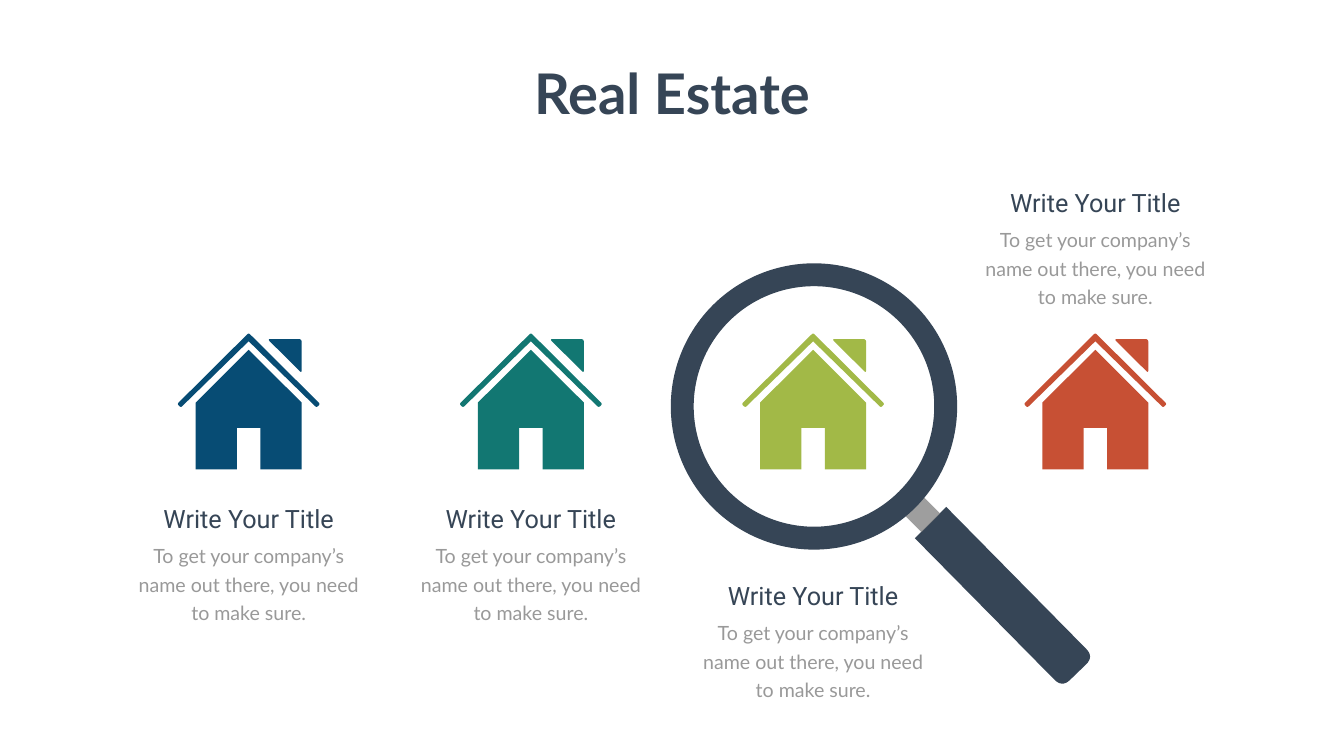
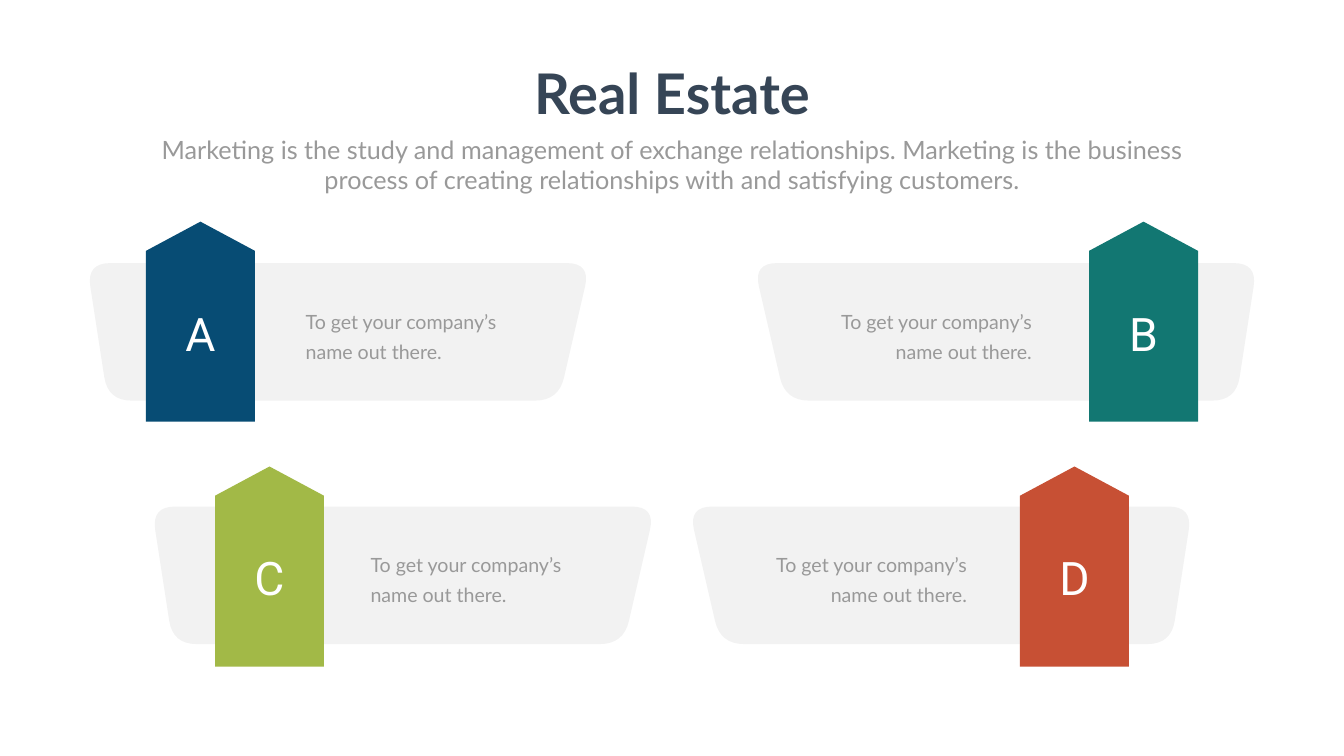
from lxml import etree
from pptx import Presentation
from pptx.dml.color import RGBColor
from pptx.enum.shapes import MSO_SHAPE
from pptx.enum.text import MSO_ANCHOR, MSO_AUTO_SIZE, PP_ALIGN
from pptx.oxml.ns import qn
from pptx.util import Cm, Pt

# Content
TITLE = "Real Estate"
SUBTITLE = (
    "Marketing is the study and management of exchange relationships. "
    "Marketing is the business process of creating relationships with "
    "and satisfying customers."
)
CAPTION_TITLE = "Write Your Title"
CAPTION_BODY = "To get your company’s name out there, you need to make sure."
PANEL_BODY = "To get your company’s name out there."

# Colours and fonts
NAVY = RGBColor(0x36, 0x45, 0x56)
GREY = RGBColor(0x99, 0x99, 0x99)
MID_GREY = RGBColor(0x80, 0x80, 0x80)
WHITE = RGBColor(0xFF, 0xFF, 0xFF)
BLUE = RGBColor(0x07, 0x4C, 0x74)
TEAL = RGBColor(0x12, 0x77, 0x72)
GREEN = RGBColor(0xA2, 0xB9, 0x47)
RED = RGBColor(0xC7, 0x50, 0x34)
LATO, ROBOTO = "Lato", "Roboto"

# All measures below are centimetres
SLIDE_W, SLIDE_H = 67.72, 38.1

# Houses: colour, top of the caption
HOUSES = [(BLUE, 25.25), (TEAL, 25.25), (GREEN, 29.13), (RED, 9.32)]
HOUSE_X, HOUSE_STEP = 12.53, 14.22

# Outlines are corners: x, y, length cut off to round the corner
HOUSE_PARTS = [
    # chimney
    [(0.95, 17.09, 0.15), (2.67, 17.09, 0.15), (2.67, 18.8, 0.15)],
    # walls
    [(-2.67, 20.29, 0), (-2.67, 23.65, 0), (-0.59, 23.65, 0), (-0.59, 21.56, 0),
     (0.59, 21.56, 0), (0.59, 23.65, 0), (2.67, 23.65, 0), (2.67, 20.29, 0),
     (0, 17.63, 0)],
    # roof
    [(0, 16.78, 0.1), (3.6, 20.36, 0.1), (3.42, 20.54, 0.1), (0, 17.2, 0),
     (-3.42, 20.54, 0.1), (-3.6, 20.36, 0.1)],
]
HANDLE = [(47.68, 25.55, 0), (55.12, 33.1, 0.55), (53.52, 34.65, 0.55),
          (46.1, 27.13, 0)]
NECK = [(45.9, 24.41, 0), (44.96, 25.35, 0), (46.43, 26.82, 0), (47.37, 25.88, 0)]
LENS = (33.8, 13.27, 14.43)  # left, top, diameter

# Panels: letter, colour, row, on the right
PANELS = [("A", BLUE, 0, False), ("B", TEAL, 0, True),
          ("C", GREEN, 1, False), ("D", RED, 1, True)]
# Rows: panel margin and top, tag centre from the slide edge and from the top
ROWS = [(4.55, 13.26, 10.1, 16.21), (7.82, 25.53, 13.58, 28.55)]
PANEL = [(-0.18, 0, 1.2), (25.2, 0, 1.2), (23.6, 6.93, 1.2), (0.89, 6.93, 1.2)]
TAG_LENGTH, TAG_WIDTH = 10.08, 5.49


def set_fill(sp, color, alpha=None):
    """Plain fill, no line, no shadow; alpha in percent."""
    sp.shadow.inherit = False
    sp.line.fill.background()
    sp.fill.solid()
    sp.fill.fore_color.rgb = color
    if alpha:
        clr = sp.fill._xPr.find(qn("a:solidFill"))[0]
        etree.SubElement(clr, qn("a:alpha")).set("val", str(alpha * 1000))


def round_corners(corners, steps=8):
    """Replace each corner that has a cut by points on a smooth curve."""
    points = []
    for i, (x, y, cut) in enumerate(corners):
        if not cut:
            points.append((x, y))
            continue
        ends = []
        for nx, ny, _ in (corners[i - 1], corners[(i + 1) % len(corners)]):
            k = cut / ((nx - x) ** 2 + (ny - y) ** 2) ** 0.5
            ends.append((x + (nx - x) * k, y + (ny - y) * k))
        (ax, ay), (bx, by) = ends
        for t in (s / steps for s in range(steps + 1)):
            a, b, c = (1 - t) ** 2, 2 * t * (1 - t), t ** 2
            points.append((a * ax + b * x + c * bx, a * ay + b * y + c * by))
    return points


def add_outline(s, corners, color, alpha=None):
    points = [(Cm(x), Cm(y)) for x, y in round_corners(corners)]
    builder = s.shapes.build_freeform(*points[0])
    builder.add_line_segments(points[1:], close=True)
    set_fill(builder.convert_to_shape(), color, alpha)


def format_text(tf, text, size, font, color, align=PP_ALIGN.CENTER,
                spacing=None, bold=False):
    tf.text = text
    p = tf.paragraphs[0]
    p.alignment = align
    if spacing:
        p.line_spacing = Pt(spacing)
    f = p.runs[0].font
    f.size, f.name, f.bold = Pt(size), font, bold
    f.color.rgb = color


def add_text(s, x, y, w, h, *args, inset=None, **kwargs):
    tf = s.shapes.add_textbox(Cm(x), Cm(y), Cm(w), Cm(h)).text_frame
    tf.word_wrap = True
    if inset:
        tf.margin_left = tf.margin_right = Cm(inset)
        tf.margin_top = tf.margin_bottom = Cm(inset / 2)
    format_text(tf, *args, **kwargs)


def add_slide(prs):
    s = prs.slides.add_slide(prs.slide_layouts[5])
    sp = s.shapes.title
    sp.left, sp.top, sp.width, sp.height = Cm(26.45), Cm(2.84), Cm(14.82), Cm(3.68)
    tf = sp.text_frame
    tf.word_wrap = False
    tf.auto_size = MSO_AUTO_SIZE.NONE
    tf.vertical_anchor = MSO_ANCHOR.TOP
    format_text(tf, TITLE, 80, LATO, NAVY, bold=True)
    return s


def add_houses_slide(prs):
    s = add_slide(prs)
    # Houses and captions
    for i, (color, top) in enumerate(HOUSES):
        cx = HOUSE_X + i * HOUSE_STEP
        for part in HOUSE_PARTS:
            add_outline(s, [(cx + x, y, cut) for x, y, cut in part], color)
        add_text(s, cx - 6.65, top, 13.3, 1.8, CAPTION_TITLE, 36, ROBOTO, NAVY)
        add_text(s, cx - 6, top + 1.8, 12, 4.5, CAPTION_BODY, 28, LATO, GREY,
                 spacing=40.8)
    # Magnifying glass
    add_outline(s, HANDLE, NAVY)
    add_outline(s, NECK, MID_GREY, alpha=76)
    x, y, d = map(Cm, LENS)
    sp = s.shapes.add_shape(MSO_SHAPE.DONUT, x, y, d, d)
    sp.adjustments[0] = 0.08
    set_fill(sp, NAVY)


def add_panels_slide(prs):
    s = add_slide(prs)
    add_text(s, 7.42, 6.63, 52.88, 3.33, SUBTITLE, 36, LATO, GREY)
    for letter, color, row, right in PANELS:
        margin, top, tag_x, tag_y = ROWS[row]
        # Grey panel, mirrored on the right
        corners = [(margin + x, top + y, cut) for x, y, cut in PANEL]
        if right:
            corners = [(SLIDE_W - x, y, cut) for x, y, cut in corners]
            tag_x = SLIDE_W - tag_x
            w, align = 12.17, PP_ALIGN.RIGHT
            x = SLIDE_W - margin - 10.57 - w
        else:
            w, align = 11.38, PP_ALIGN.LEFT
            x = margin + 10.24
        add_outline(s, corners, MID_GREY, alpha=10)
        add_text(s, x, top + 1.7, w, 3.53, PANEL_BODY, 28, LATO, GREY,
                 align=align, spacing=43, inset=0.61)
        # Tag pointing up, with its letter
        sp = s.shapes.add_shape(
            MSO_SHAPE.PENTAGON, Cm(tag_x - TAG_LENGTH / 2),
            Cm(tag_y - TAG_WIDTH / 2), Cm(TAG_LENGTH), Cm(TAG_WIDTH))
        sp.rotation = 270
        sp.adjustments[0] = 0.268
        set_fill(sp, color)
        add_text(s, tag_x - 1.98, tag_y - 0.97, 3.96, 3.07, letter, 66, ROBOTO, WHITE)


def main():
    prs = Presentation()
    prs.slide_width, prs.slide_height = Cm(SLIDE_W), Cm(SLIDE_H)
    add_houses_slide(prs)
    add_panels_slide(prs)
    prs.save("out.pptx")


if __name__ == "__main__":
    main()
